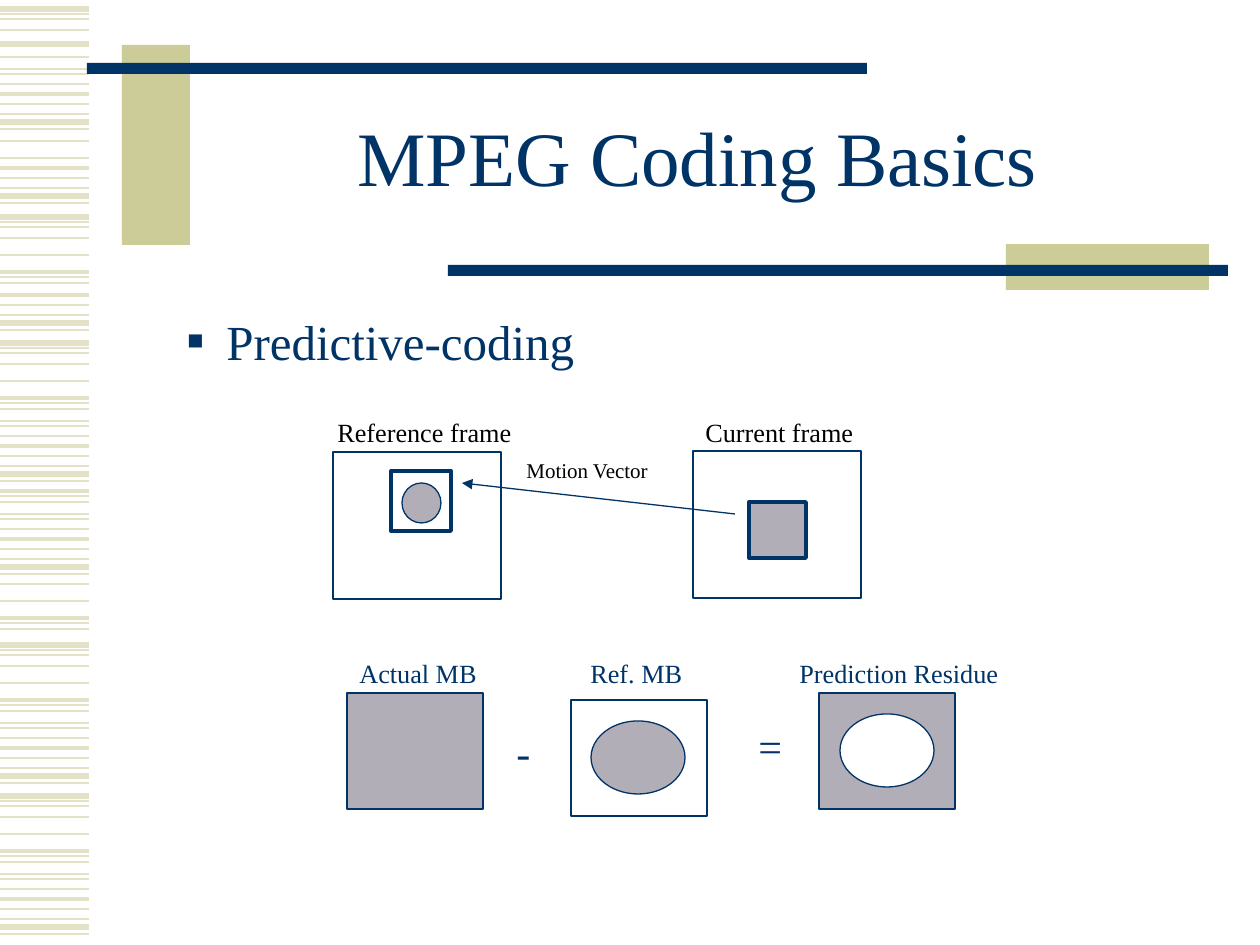
from dataclasses import dataclass

from lxml import etree
from pptx import Presentation
from pptx.dml.color import RGBColor
from pptx.enum.shapes import MSO_CONNECTOR, MSO_SHAPE
from pptx.enum.text import MSO_ANCHOR, PP_ALIGN
from pptx.oxml.ns import qn
from pptx.util import Emu, Pt

RECT = MSO_SHAPE.RECTANGLE
OVAL = MSO_SHAPE.OVAL
LINE = MSO_CONNECTOR.STRAIGHT
LEFT = PP_ALIGN.LEFT
MID = PP_ALIGN.CENTER
TOP = MSO_ANCHOR.TOP
CENTER = MSO_ANCHOR.MIDDLE

SCALE = 914400 / 126
FONT = "Times New Roman"
NAVY = "003366"
KHAKI = "CCCC99"
PALE = "E3E2C7"
GREY = "B1AEB8"
WHITE = "FFFFFF"
BLACK = "000000"
THIN = 0.74
THICK = 2.24


@dataclass
class Box:
    x: int
    y: int
    w: int
    h: int
    fill: str
    line: float = 0
    kind: MSO_SHAPE = RECT


@dataclass
class Label:
    text: str
    x: int
    y: int
    w: int
    h: int
    size: int = 15
    color: str = NAVY
    wrap: bool = False


@dataclass
class Run:
    base: int
    first: int = 0
    last: int = 15


STRIPES = [
    (0, 3), (5, 0.74), (10, 0.99), (21, 0.99), (38, 0.99), (55, 2.24),
    (60, 0.74), (66, 1.5), (78, 0.74), (83, 1.5), (93, 0.99), (103, 2.24),
    (113, 1.5), (123, 0.74), (131, 3), (138, 1.5),
]
RUNS = [
    Run(9, last=3), Run(44, last=0), Run(-9, first=7), Run(103, 4, 4),
    Run(65, first=10), Run(217, last=7), Run(192, first=11), Run(343),
    Run(436, first=5), Run(563, 3, 7), Run(645), Run(796),
]
BARS = [
    Box(122, 45, 68, 200, KHAKI),
    Box(87, 63, 780, 11, NAVY),
    Box(1006, 244, 203, 46, KHAKI),
    Box(448, 265, 780, 11, NAVY),
]
FRAMES = [
    Box(333, 452, 168, 147, WHITE, THIN),
    Box(693, 451, 168, 147, WHITE, THIN),
]
BLOCKS = [
    Box(391, 471, 60, 60, WHITE, THICK),
    Box(402, 483, 39, 40, GREY, THIN, OVAL),
    Box(749, 502, 57, 56, GREY, THICK),
    Box(347, 693, 136, 116, GREY, THIN),
    Box(571, 700, 136, 116, WHITE, THIN),
    Box(591, 721, 94, 73, GREY, THIN, OVAL),
    Box(819, 693, 136, 116, GREY, THIN),
    Box(840, 714, 94, 73, WHITE, THIN, OVAL),
]
LABELS = [
    Label("Reference frame", 325, 410, 204, 44, color=BLACK),
    Label("Current frame", 693, 410, 178, 44, color=BLACK),
    Label("Motion Vector", 514, 451, 168, 38, 12, BLACK, True),
    Label("Actual MB", 347, 651, 150, 44, wrap=True),
    Label("Ref. MB", 578, 651, 122, 44, wrap=True),
    Label("Prediction Residue", 787, 651, 230, 44, wrap=True),
    Label("-", 504, 720, 48, 63, 24, wrap=True),
    Label("=", 746, 714, 49, 63, 24),
]


def px(n: float) -> Emu:
    return Emu(round(n * SCALE))


def paint(fmt, color: str) -> None:
    fmt.solid()
    fmt.fore_color.rgb = RGBColor.from_string(color)


def draw(box: Box) -> None:
    shape = slide.shapes.add_shape(
        box.kind, px(box.x), px(box.y), px(box.w), px(box.h))
    shape.shadow.inherit = False
    paint(shape.fill, box.fill)
    if box.line:
        paint(shape.line.fill, NAVY)
        shape.line.width = Pt(box.line)
    else:
        shape.line.fill.background()


def rule(x: int, y: int, to_x: int, to_y: int, color: str, width: float,
         arrow: bool = False) -> None:
    line = slide.shapes.add_connector(LINE, px(x), px(y), px(to_x), px(to_y))
    paint(line.line.fill, color)
    line.line.width = Pt(width)
    if arrow:
        etree.SubElement(line.line._get_or_add_ln(), qn("a:tailEnd"),
                         type="triangle")
    etree.SubElement(line._element.spPr, qn("a:effectLst"))


def write(text: str, x: int, y: int, w: int, h: int, *, size: int = 15,
          color: str = NAVY, wrap: bool = True, align=LEFT, anchor=TOP,
          space: float = 1.0):
    frame = slide.shapes.add_textbox(px(x), px(y), px(w), px(h)).text_frame
    frame.word_wrap = wrap
    frame.vertical_anchor = anchor
    para = frame.paragraphs[0]
    para.alignment = align
    para.line_spacing = space
    run = para.add_run()
    run.text = text
    run.font.name = FONT
    run.font.size = Pt(size)
    paint(run.font.fill, color)
    return para


def bullet(para, left: int, hang: int) -> None:
    props = para._p.get_or_add_pPr()
    props.set("marL", str(px(left)))
    props.set("indent", str(px(-hang)))
    tone = etree.SubElement(props, qn("a:buClr"))
    etree.SubElement(tone, qn("a:srgbClr"), val=NAVY)
    etree.SubElement(props, qn("a:buSzPct"), val="55000")
    etree.SubElement(props, qn("a:buFont"), typeface=FONT)
    etree.SubElement(props, qn("a:buChar"), char="■")


deck = Presentation()
deck.slide_width = px(1260)
deck.slide_height = px(945)
slide = deck.slides.add_slide(deck.slide_layouts[6])
paint(slide.background.fill, WHITE)

for run in RUNS:
    for step, width in STRIPES[run.first:run.last + 1]:
        y = run.base + step
        rule(0, y, 89, y, PALE, width)
for box in BARS:
    draw(box)

write("MPEG Coding Basics", 189, 84, 1017, 158, size=44, align=MID,
      anchor=CENTER, space=0.85)
topic = write("Predictive-coding", 112, 305, 1096, 93, size=28)
topic.space_before = Pt(7)
bullet(topic, 102, 39)

for box in FRAMES:
    draw(box)
rule(735, 514, 462, 483, NAVY, THIN, arrow=True)
for box in BLOCKS:
    draw(box)
for tag in LABELS:
    write(tag.text, tag.x, tag.y, tag.w, tag.h, size=tag.size,
          color=tag.color, wrap=tag.wrap)

deck.save("out.pptx")
